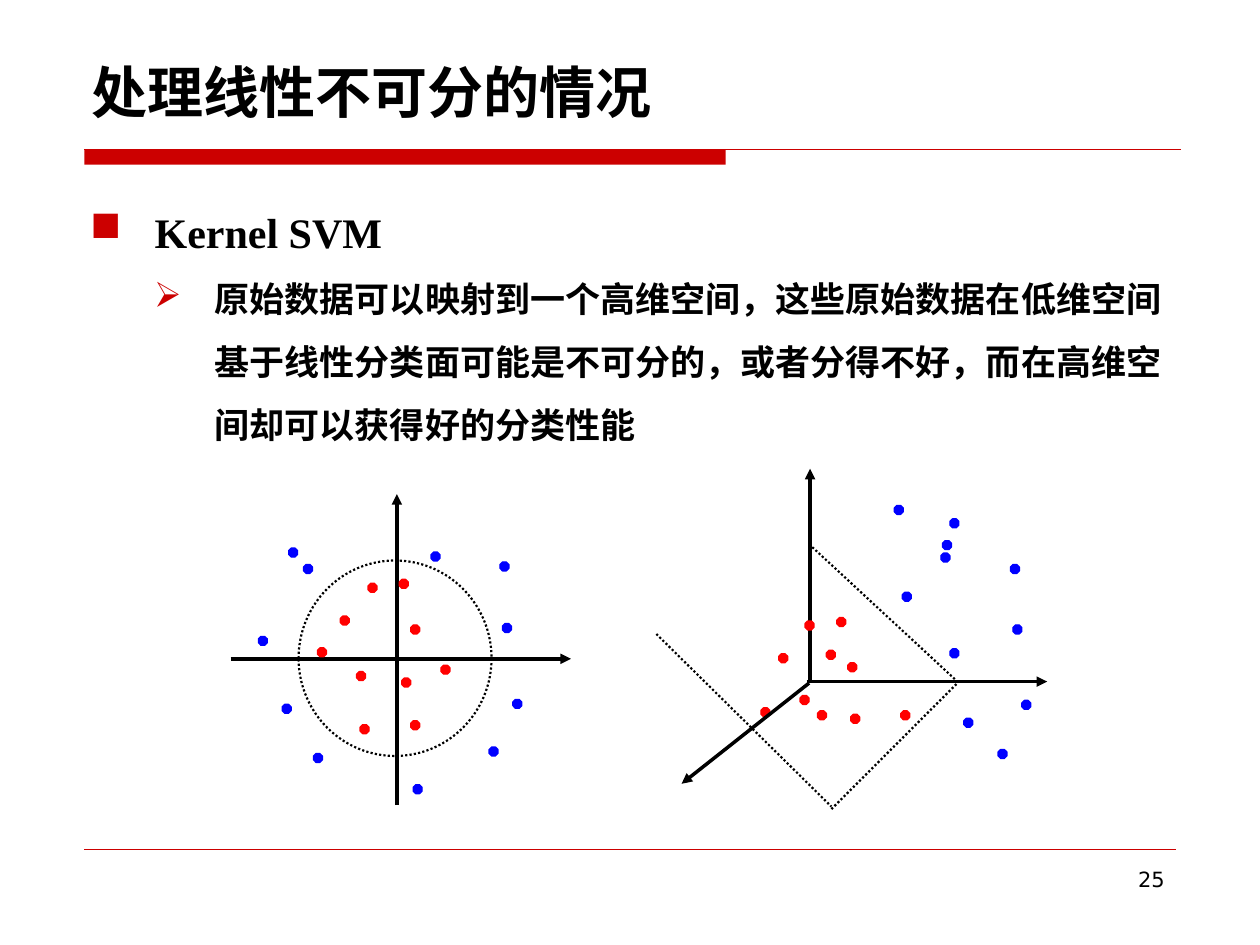
from dataclasses import dataclass

import lxml.etree
import pptx
import pptx.dml.color
import pptx.enum.dml
import pptx.enum.shapes
import pptx.enum.text
import pptx.oxml.ns
import pptx.util

Cm = pptx.util.Cm
Pt = pptx.util.Pt
qn = pptx.oxml.ns.qn
PP_ALIGN = pptx.enum.text.PP_ALIGN
ANCHOR = pptx.enum.text.MSO_ANCHOR
SHAPE = pptx.enum.shapes.MSO_SHAPE

COLORS = {"accent": "CC0000", "ink": "000000", "inner": "FF0000", "outer": "0000FF"}
CJK_FONT = "Noto Sans CJK SC"
DOT_SIZE = 0.18


@dataclass
class Line:
    start: tuple[float, float]
    end: tuple[float, float]
    width: float = 2
    color: str = "ink"
    arrow: bool = False
    dotted: bool = False


@dataclass
class Text:
    content: str
    font: str
    size: float
    bold: bool = True
    align: PP_ALIGN = PP_ALIGN.LEFT
    spacing: float = 1.0
    bullet: str = ""
    indent: float = 0
    hanging: float = 0


def rgb(name: str) -> pptx.dml.color.RGBColor:
    return pptx.dml.color.RGBColor.from_string(COLORS[name])


def draw_line(slide, line: Line) -> None:
    connector = slide.shapes.add_connector(
        pptx.enum.shapes.MSO_CONNECTOR.STRAIGHT, *map(Cm, line.start + line.end))
    connector.line.color.rgb = rgb(line.color)
    connector.line.width = Pt(line.width)
    if line.dotted:
        connector.line.dash_style = pptx.enum.dml.MSO_LINE.ROUND_DOT
    if line.arrow:
        lxml.etree.SubElement(connector.line._get_or_add_ln(), qn("a:tailEnd"), type="triangle")
    lxml.etree.SubElement(connector._element.spPr, qn("a:effectLst"))


def draw_dots(slide, points: list[tuple[float, float]], color: str) -> None:
    for left, top in points:
        dot = slide.shapes.add_shape(
            SHAPE.OCTAGON, Cm(left), Cm(top), Cm(DOT_SIZE), Cm(DOT_SIZE))
        dot.shadow.inherit = False
        dot.fill.solid()
        dot.fill.fore_color.rgb = rgb(color)
        dot.line.color.rgb = rgb(color)
        dot.line.width = Pt(0.75)


def add_bullet(paragraph, text: Text) -> None:
    properties = paragraph._p.get_or_add_pPr()
    properties.set("marL", str(Cm(text.indent)))
    properties.set("indent", str(-Cm(text.hanging)))
    bullet_color = lxml.etree.SubElement(properties, qn("a:buClr"))
    lxml.etree.SubElement(bullet_color, qn("a:srgbClr"), val=COLORS["accent"])
    lxml.etree.SubElement(properties, qn("a:buChar"), char=text.bullet)


def draw_text(slide, box: tuple[float, ...], texts: list[Text], anchor=ANCHOR.TOP) -> None:
    frame = slide.shapes.add_textbox(*map(Cm, box)).text_frame
    frame.word_wrap = True
    frame.vertical_anchor = anchor
    for index, text in enumerate(texts):
        paragraph = frame.add_paragraph() if index else frame.paragraphs[0]
        paragraph.text = text.content
        paragraph.alignment = text.align
        paragraph.line_spacing = text.spacing
        if text.bullet:
            add_bullet(paragraph, text)
        font = paragraph.runs[0].font
        font.name = text.font
        font.size = Pt(text.size)
        font.bold = text.bold
        font.color.rgb = rgb("ink")
        lxml.etree.SubElement(font._element, qn("a:ea"), typeface=text.font)


# Data points, given by their top left corners
PLANE_INNER = [(8.05, 11.68), (6.86, 12.42), (7.19, 13.54), (8.28, 14.53), (7.42, 11.76),
               (6.4, 13.06), (7.26, 14.61), (8.28, 12.6), (8.89, 13.41), (8.1, 13.67)]
PLANE_OUTER = [(10.13, 12.57), (9.86, 15.06), (5.21, 12.83), (8.33, 15.82), (10.34, 14.1),
               (6.32, 15.19), (5.69, 14.2), (5.82, 11.05), (8.69, 11.13), (6.12, 11.38),
               (10.08, 11.33)]
SPACE_INNER = [(16.87, 12.45), (15.7, 13.18), (16.48, 14.33), (18.16, 14.33), (16.23, 12.52),
               (16.66, 13.11), (17.15, 14.4), (17.09, 13.36), (16.13, 14.02), (15.34, 14.27)]
SPACE_OUTER = [(20.42, 12.6), (20.12, 15.11), (19.15, 10.46), (19.15, 13.08), (20.6, 14.12),
               (18.19, 11.94), (19.43, 14.48), (19, 10.9), (18.97, 11.15), (18.03, 10.19),
               (20.37, 11.38)]

PLANE_AXES = [Line((8, 16.23), (8, 9.96), arrow=True),
              Line((4.65, 13.28), (11.51, 13.28), arrow=True)]
SPACE_AXES = [Line((16.33, 13.72), (16.33, 9.45), arrow=True),
              Line((16.26, 13.74), (21.11, 13.74), arrow=True)]
DEPTH_AXIS = Line((16.31, 13.77), (13.74, 15.8), arrow=True)
SEPARATING_PLANE = [Line(start, end, width=1.25, dotted=True) for start, end in [
    ((16.31, 10.97), (19.28, 13.72)),
    ((16.76, 16.31), (19.28, 13.79)),
    ((13.23, 12.78), (16.76, 16.26))]]


def main() -> None:
    deck = pptx.Presentation()
    deck.slide_width, deck.slide_height = Cm(25.4), Cm(19.05)
    slide = deck.slides.add_slide(deck.slide_layouts[6])

    # Header and footer rules
    header_bar = slide.shapes.add_shape(SHAPE.RECTANGLE, Cm(1.7), Cm(3.02), Cm(12.93), Cm(0.3))
    header_bar.shadow.inherit = False
    header_bar.fill.solid()
    header_bar.fill.fore_color.rgb = rgb("accent")
    header_bar.line.fill.background()
    draw_line(slide, Line((1.7, 3.02), (23.8, 3.02), 0.75, "accent"))
    draw_line(slide, Line((1.7, 17.12), (23.7, 17.12), 0.25, "accent"))

    # Title, body and page number
    draw_text(slide, (1.6, 0.53, 22.23, 2.11),
              [Text("处理线性不可分的情况", CJK_FONT, 32)], ANCHOR.BOTTOM)
    draw_text(slide, (1.57, 3.53, 22.23, 13.21), [
        Text("Kernel SVM", "Times New Roman", 24, spacing=1.5,
             bullet="■", indent=1.3, hanging=1.3),
        Text("原始数据可以映射到一个高维空间，这些原始数据在低维空间基于线性分类面可能是不可分的，"
             "或者分得不好，而在高维空间却可以获得好的分类性能", CJK_FONT, 20, spacing=1.5,
             bullet="➢", indent=2.51, hanging=1.22)])
    draw_text(slide, (21.11, 17.35, 2.62, 1.32),
              [Text("25", "DejaVu Sans", 12, bold=False, align=PP_ALIGN.RIGHT)])

    # Input plane: the classes are split by a circle
    for axis in PLANE_AXES:
        draw_line(slide, axis)
    draw_dots(slide, PLANE_INNER, "inner")
    draw_dots(slide, PLANE_OUTER, "outer")
    boundary = slide.shapes.add_shape(SHAPE.OVAL, Cm(6.02), Cm(11.3), Cm(3.89), Cm(3.94))
    boundary.shadow.inherit = False
    boundary.fill.background()
    boundary.line.color.rgb = rgb("ink")
    boundary.line.width = Pt(1.25)
    boundary.line.dash_style = pptx.enum.dml.MSO_LINE.ROUND_DOT

    # Feature space: the classes are split by a plane
    for axis in SPACE_AXES:
        draw_line(slide, axis)
    draw_dots(slide, SPACE_INNER, "inner")
    draw_dots(slide, SPACE_OUTER, "outer")
    for line in [DEPTH_AXIS, *SEPARATING_PLANE]:
        draw_line(slide, line)

    deck.save("out.pptx")


if __name__ == "__main__":
    main()
